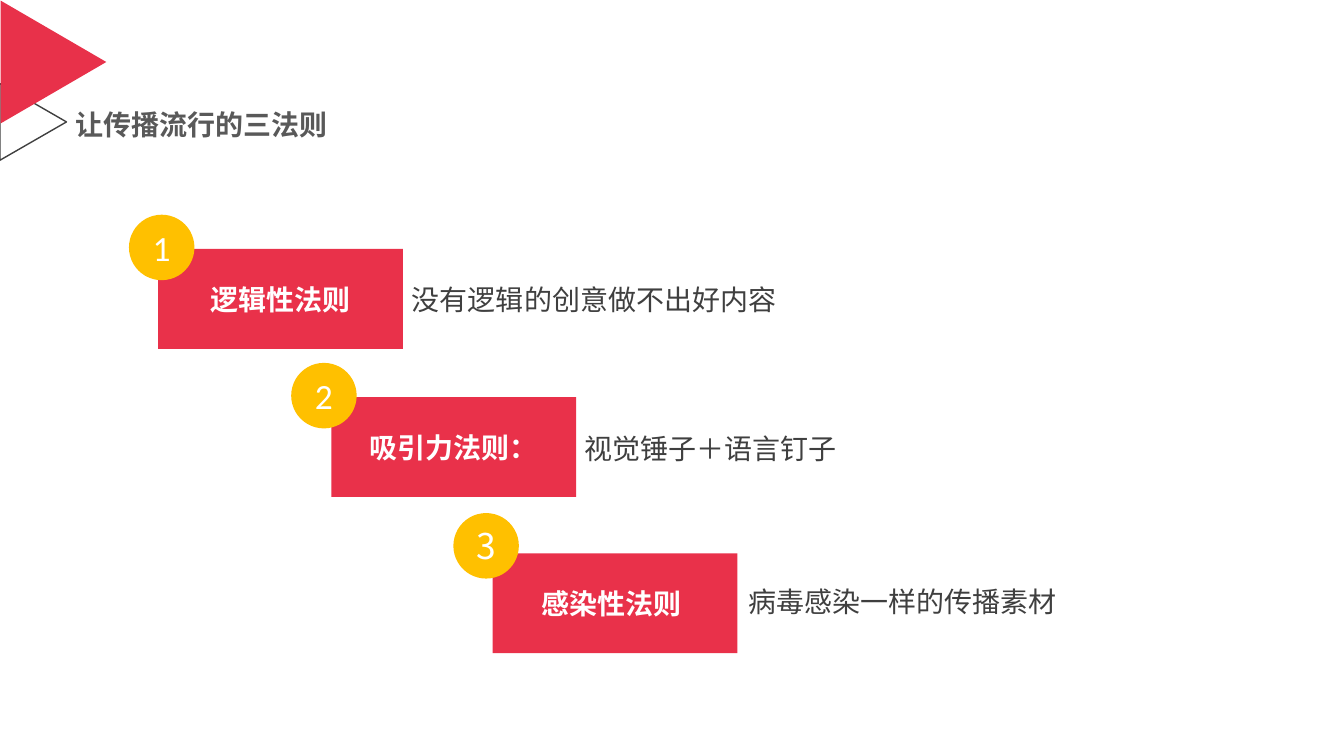
"""Build the slide on the three rules that make communication spread."""
import lxml.etree
import pptx
import pptx.dml.color
import pptx.enum.shapes
import pptx.enum.text
import pptx.oxml.ns
import pptx.util

Inches = pptx.util.Inches
SHAPE = pptx.enum.shapes.MSO_SHAPE
ALIGN = pptx.enum.text.PP_ALIGN
ANCHOR = pptx.enum.text.MSO_ANCHOR
AUTO_SIZE = pptx.enum.text.MSO_AUTO_SIZE

CJK = "Noto Sans CJK SC"
COLORS = {
    "corner": "E8314A",
    "rule": "E9314A",
    "badge": "FFC000",
    "white": "FFFFFF",
    "outline": "404040",
    "detail": "3F3F3F",
    "title": "595959",
}
RULES = [
    ("1", "Calibri", (1.28, 2.13), "逻辑性法则", (1.57, 2.47),
     "没有逻辑的创意做不出好内容", (3.99, 2.75, 4.38, 0.44)),
    ("2", "Calibri", (2.89, 3.6), "吸引力法则：", (3.29, 3.94),
     "视觉锤子＋语言钉子", (5.7, 4.23, 3.23, 0.44)),
    ("3", CJK, (4.5, 5.09), "感染性法则 ", (4.89, 5.49),
     "病毒感染一样的传播素材", (7.33, 5.75, 3.6, 0.44)),
]


def rgb(name):
    return pptx.dml.color.RGBColor.from_string(COLORS[name])


def write(holder, text, color, size=20, font=CJK, bold=False, align=ALIGN.LEFT,
          anchor=ANCHOR.TOP, inset=None, wrap=True, spacing=None, grow=False):
    frame = holder.text_frame
    frame.word_wrap = wrap
    frame.auto_size = AUTO_SIZE.SHAPE_TO_FIT_TEXT if grow else AUTO_SIZE.NONE
    frame.vertical_anchor = anchor
    if inset is not None:
        frame.margin_left = frame.margin_right = Inches(inset)
        frame.margin_top = frame.margin_bottom = Inches(inset)
    paragraph = frame.paragraphs[0]
    paragraph.alignment = align
    paragraph.line_spacing = spacing
    run = paragraph.add_run()
    run.text = text
    run.font.size = pptx.util.Pt(size)
    run.font.bold = bold
    run.font.name = font
    run.font.color.rgb = rgb(color)
    east_asian = lxml.etree.SubElement(run.font._element, pptx.oxml.ns.qn("a:ea"))
    east_asian.set("typeface", font)


def add_figure(slide, kind, box, fill=None, line=None, rotation=0):
    figure = slide.shapes.add_shape(kind, *map(Inches, box))
    figure.shadow.inherit = False
    figure.rotation = rotation
    if fill:
        figure.fill.solid()
        figure.fill.fore_color.rgb = rgb(fill)
    else:
        figure.fill.background()
    if line:
        figure.line.color.rgb = rgb(line)
        figure.line.width = pptx.util.Pt(1)
    else:
        figure.line.fill.background()
    return figure


def add_title(slide, text, box):
    title = slide.shapes.title
    title.left, title.top, title.width, title.height = map(Inches, box)
    write(title, text, "title", bold=True, anchor=ANCHOR.MIDDLE, inset=0.05,
          wrap=False, spacing=0.9, grow=True)


def add_rule(slide, number, number_font, badge_at, name, name_at, detail, detail_box):
    rule = add_figure(slide, SHAPE.RECTANGLE, (*name_at, 2.43, 0.99), fill="rule")
    write(rule, name, "white", bold=True, align=ALIGN.CENTER, anchor=ANCHOR.MIDDLE)
    explanation = slide.shapes.add_textbox(*map(Inches, detail_box))
    write(explanation, detail, "detail", grow=True)
    badge = add_figure(slide, SHAPE.OVAL, (*badge_at, 0.65, 0.65), fill="badge")
    write(badge, number, "white", size=25.3, font=number_font, align=ALIGN.CENTER,
          anchor=ANCHOR.MIDDLE, inset=0, wrap=False)


def main():
    deck = pptx.Presentation()
    deck.slide_width, deck.slide_height = Inches(13.34), Inches(7.5)
    slide = deck.slides.add_slide(deck.slide_layouts.get_by_name("Title Only"))
    add_figure(slide, SHAPE.ISOSCELES_TRIANGLE, (-0.05, 0.88, 0.76, 0.66),
               line="outline", rotation=90)
    add_figure(slide, SHAPE.ISOSCELES_TRIANGLE, (-0.08, 0.09, 1.22, 1.05),
               fill="corner", rotation=90)
    add_title(slide, "让传播流行的三法则", (0.7, 1.05, 2.63, 0.41))
    for rule in RULES:
        add_rule(slide, *rule)
    deck.save("out.pptx")


if __name__ == "__main__":
    main()
